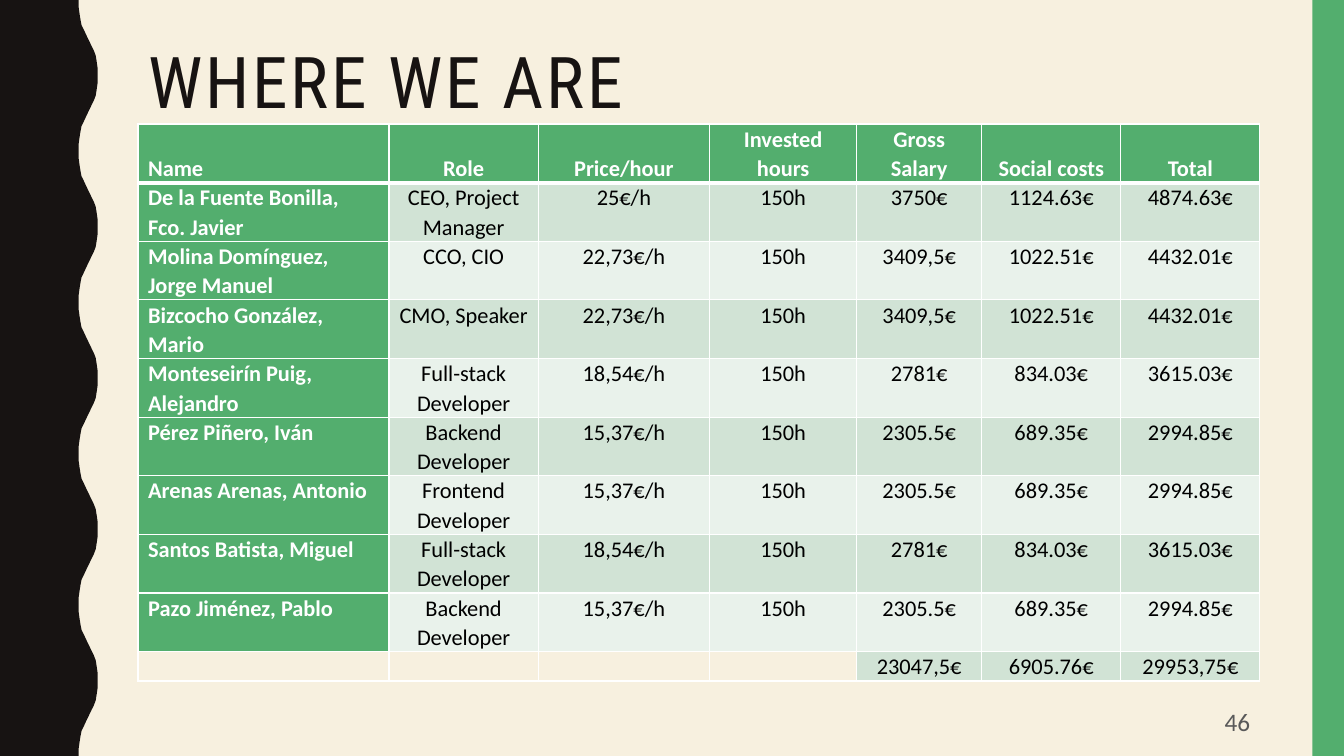
from lxml import etree
from pptx import Presentation
from pptx.dml.color import RGBColor
from pptx.enum.shapes import MSO_SHAPE
from pptx.enum.text import MSO_ANCHOR, MSO_AUTO_SIZE, PP_ALIGN
from pptx.oxml.ns import qn
from pptx.util import Pt

CREAM = RGBColor(0xF7, 0xF0, 0xDF)
INK = RGBColor(0x17, 0x13, 0x12)
GREEN = RGBColor(0x53, 0xAE, 0x6E)
BAND_DARK = RGBColor(0xD1, 0xE3, 0xD5)
BAND_LIGHT = RGBColor(0xE9, 0xF2, 0xEB)
WHITE = RGBColor(0xFF, 0xFF, 0xFF)
BLACK = RGBColor(0, 0, 0)
GREY = RGBColor(0x59, 0x59, 0x59)
LEFT, CENTER, RIGHT = PP_ALIGN.LEFT, PP_ALIGN.CENTER, PP_ALIGN.RIGHT
TOP, MIDDLE, BOTTOM = MSO_ANCHOR.TOP, MSO_ANCHOR.MIDDLE, MSO_ANCHOR.BOTTOM

WIDTH, HEIGHT = 960, 540
CONTENT_LEFT, CONTENT_WIDTH = 98.6, 801.4


def set_format(target, values):
    for name, value in values.items():
        setattr(target, name, value)


def set_font(font, color, **values):
    set_format(font, values)
    font.color.rgb = color


prs = Presentation()
prs.slide_width, prs.slide_height = Pt(WIDTH), Pt(HEIGHT)
slide = prs.slides.add_slide(prs.slide_layouts[5])
slide.background.fill.solid()
slide.background.fill.fore_color.rgb = CREAM

# Wavy left edge: five equal waves, each a half wave and its mirror
WAVE = 108
half_wave = [(56.2, 0), (56.2, 5), (56.9, 10), (57.6, 14.4), (58.3, 18),
             (59.8, 21), (61.2, 24), (62.6, 27), (64.1, 30), (65.5, 33),
             (67, 36), (68.4, 39.6), (69.1, 44), (69.8, 49), (69.8, 54)]
wave = half_wave + [(x, WAVE - y) for x, y in half_wave[-2::-1]]
edge = [(Pt(x), Pt(y + WAVE * i)) for i in range(5) for x, y in wave]
builder = slide.shapes.build_freeform(0, 0)
builder.add_line_segments(edge + [(0, Pt(HEIGHT))], close=True)
wavy_edge = builder.convert_to_shape()

# Green right edge
green_edge = slide.shapes.add_shape(
    MSO_SHAPE.RECTANGLE, Pt(937.5), 0, Pt(22.5), Pt(HEIGHT))

for side, color in ((wavy_edge, INK), (green_edge, GREEN)):
    side.shadow.inherit = False
    side.fill.solid()
    side.fill.fore_color.rgb = color
    side.line.fill.background()

# Title
title = slide.shapes.title
set_format(title, {"left": Pt(CONTENT_LEFT), "top": Pt(30.2),
                   "width": Pt(CONTENT_WIDTH), "height": Pt(117.4)})
title.text_frame.text = "WHERE WE ARE"
set_format(title.text_frame, {"vertical_anchor": TOP, "word_wrap": True,
                              "auto_size": MSO_AUTO_SIZE.NONE})
heading = title.text_frame.paragraphs[0]
set_format(heading, {"alignment": LEFT, "line_spacing": 0.9})
set_font(heading.runs[0].font, INK, name="Roboto Condensed", size=Pt(51))
heading.runs[0].font._element.set("spc", "200")

# Cost table
header = ("Name", "Role", "Price/hour", "Invested hours", "Gross Salary",
          "Social costs", "Total")
team = [
    ("De la Fuente Bonilla, Fco. Javier", "CEO, Project Manager",
     "25€/h", "150h", "3750€", "1124.63€", "4874.63€"),
    ("Molina Domínguez, Jorge Manuel", "CCO, CIO",
     "22,73€/h", "150h", "3409,5€", "1022.51€", "4432.01€"),
    ("Bizcocho González, Mario", "CMO, Speaker",
     "22,73€/h", "150h", "3409,5€", "1022.51€", "4432.01€"),
    ("Monteseirín Puig, Alejandro", "Full-stack Developer",
     "18,54€/h", "150h", "2781€", "834.03€", "3615.03€"),
    ("Pérez Piñero, Iván", "Backend Developer",
     "15,37€/h", "150h", "2305.5€", "689.35€", "2994.85€"),
    ("Arenas Arenas, Antonio", "Frontend Developer",
     "15,37€/h", "150h", "2305.5€", "689.35€", "2994.85€"),
    ("Santos Batista, Miguel", "Full-stack Developer",
     "18,54€/h", "150h", "2781€", "834.03€", "3615.03€"),
    ("Pazo Jiménez, Pablo", "Backend Developer",
     "15,37€/h", "150h", "2305.5€", "689.35€", "2994.85€"),
]
totals = ("", "", "", "", "23047,5€", "6905.76€", "29953,75€")
rows = [header, *team, totals]
column_widths = (179.3, 106.6, 122.4, 105.1, 89.3, 99.4, 99.3)
ROW_HEIGHT = 41.8

costs = slide.shapes.add_table(
    len(rows), len(header), Pt(CONTENT_LEFT), Pt(88.6), Pt(CONTENT_WIDTH),
    Pt(ROW_HEIGHT * (len(rows) - 0.5))).table
for column, width in zip(costs.columns, column_widths):
    column.width = Pt(width)
for r, texts in enumerate(rows):
    costs.rows[r].height = Pt(ROW_HEIGHT if texts is not totals else ROW_HEIGHT / 2)
    for c, text in enumerate(texts):
        cell = costs.cell(r, c)
        is_label = r == 0 or (c == 0 and texts is not totals)
        set_format(cell, {"margin_left": Pt(7.2), "margin_right": Pt(7.2),
                          "margin_top": 0, "margin_bottom": 0,
                          "vertical_anchor": BOTTOM if r == 0 else TOP})

        # White borders, thicker below the header
        for border in ("L", "R", "T", "B"):
            thick = (r, border) in ((0, "B"), (1, "T"))
            line = etree.SubElement(cell._tc.get_or_add_tcPr(), qn("a:ln" + border),
                                    w=str(Pt(3 if thick else 1)))
            fill = etree.SubElement(line, qn("a:solidFill"))
            etree.SubElement(fill, qn("a:srgbClr"), val=str(WHITE))

        paragraph = cell.text_frame.paragraphs[0]
        set_format(paragraph, {"alignment": LEFT if c == 0 else CENTER,
                               "line_spacing": 1.07})
        if not text:
            cell.fill.background()
            etree.SubElement(paragraph._p, qn("a:endParaRPr"), sz="1600")
            continue
        cell.fill.solid()
        band = BAND_DARK if r % 2 else BAND_LIGHT
        cell.fill.fore_color.rgb = GREEN if is_label else band
        run = paragraph.add_run()
        run.text = text
        set_font(run.font, WHITE if is_label else BLACK,
                 name="Calibri", size=Pt(16), bold=is_label)

# Page number
page_number = slide.shapes.add_textbox(Pt(678.2), Pt(501.8), Pt(221.8), Pt(27.4))
set_format(page_number.text_frame, {"text": "46", "word_wrap": True,
                                    "vertical_anchor": MIDDLE})
number = page_number.text_frame.paragraphs[0]
number.alignment = RIGHT
set_font(number.runs[0].font, GREY, name="Calibri", size=Pt(18))

prs.save("out.pptx")
